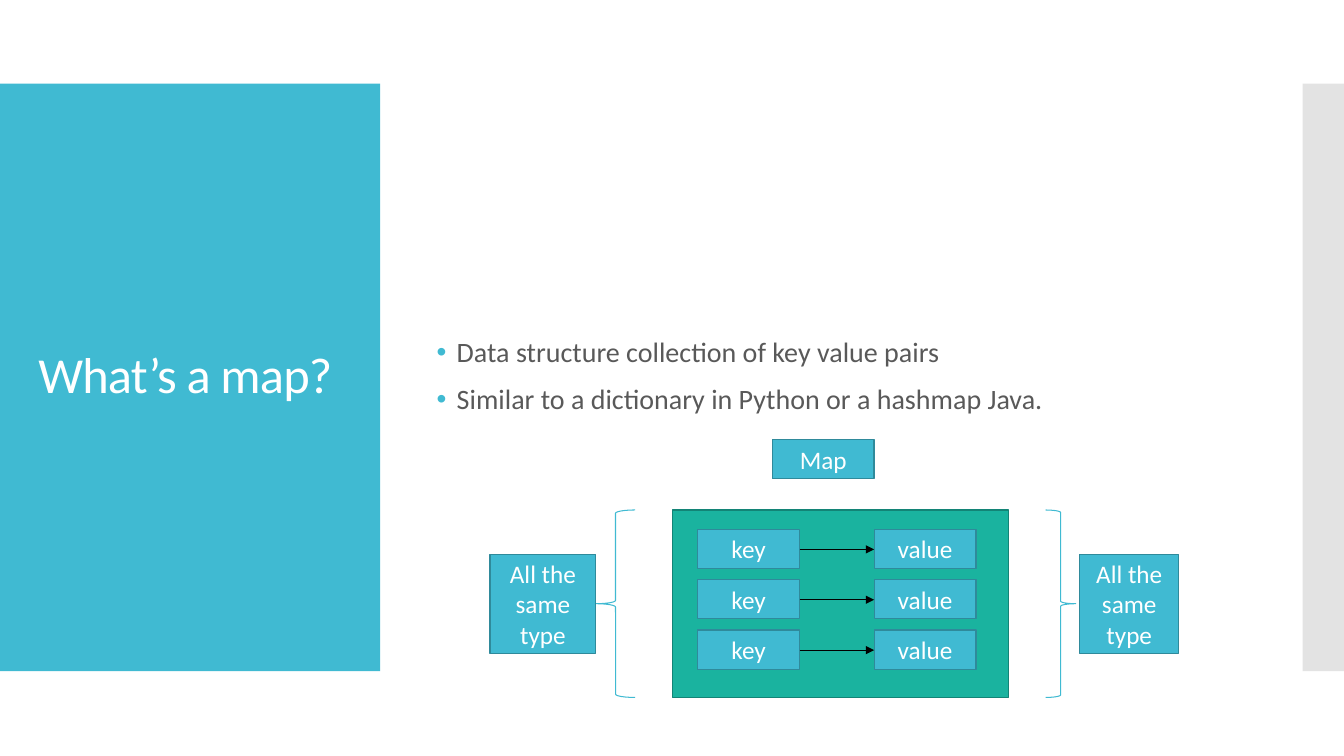
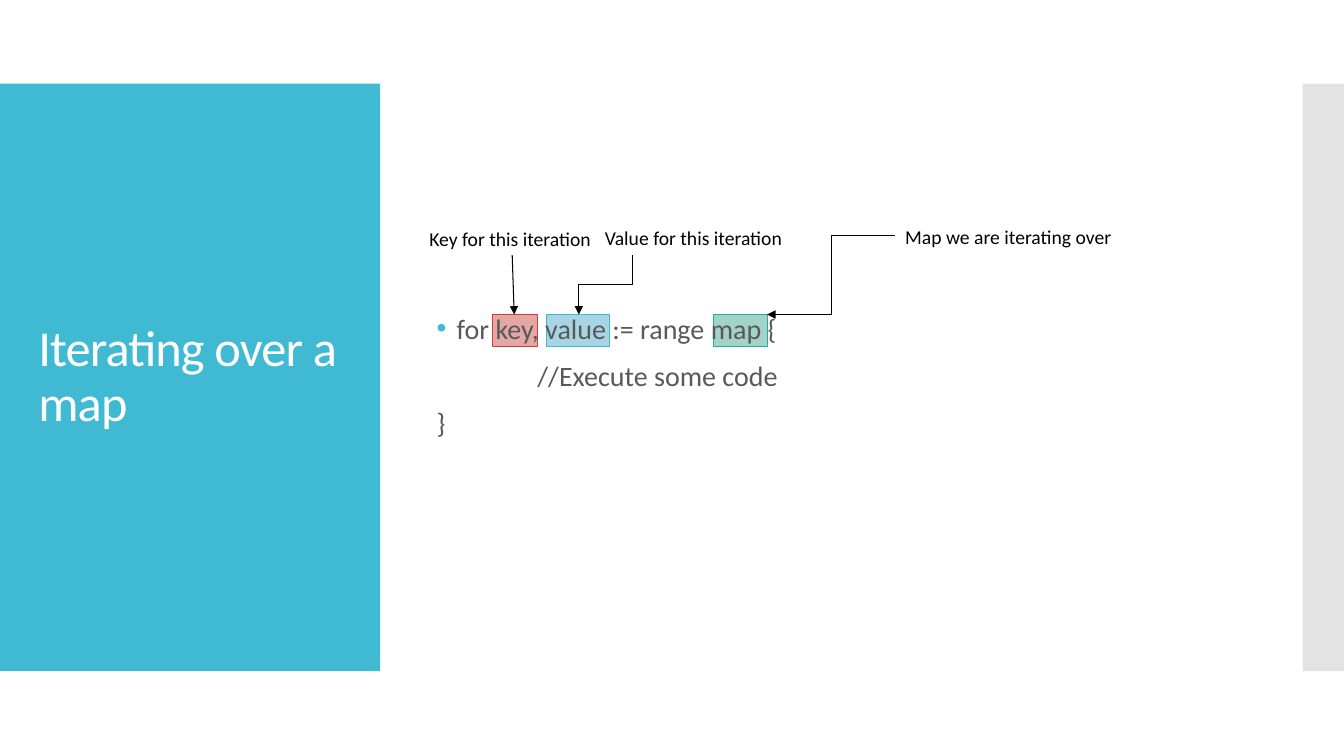
from pptx import Presentation
from pptx.dml.color import RGBColor
from pptx.enum import shapes, text
from pptx.oxml import ns
from pptx.util import Inches, Pt
from lxml import etree

BLUE, EDGE, WHITE, BLACK = "40BAD2", "2F8A9B", "FFFFFF", "000000"
TEAL, GRAY = "1AB39F", "595959"
KIND, LINK = shapes.MSO_SHAPE, shapes.MSO_CONNECTOR
ALIGN, MID = text.PP_ALIGN, text.MSO_ANCHOR.MIDDLE


def hue(code):
    return RGBColor.from_string(code)


def sub(node, tag, **attrs):
    return etree.SubElement(node, ns.qn(tag), **attrs)


def style(par, size, color):
    for run in par.runs:
        run.font.name, run.font.size = "Calibri", Pt(size)
        run.font.color.rgb = hue(color)


def shape(slide, box, fill=None, line=None, width=0.85, kind=KIND.RECTANGLE):
    item = slide.shapes.add_shape(kind, *map(Inches, box))
    item.shadow.inherit = False
    if fill:
        item.fill.solid()
        item.fill.fore_color.rgb = hue(fill)
    else:
        item.fill.background()
    if line:
        item.line.color.rgb = hue(line)
        item.line.width = Pt(width)
    else:
        item.line.fill.background()
    return item


def label(slide, box, words):
    frame = shape(slide, box, BLUE, EDGE).text_frame
    frame.text, frame.word_wrap = words, True
    frame.vertical_anchor = MID
    frame.margin_top = frame.margin_bottom = 0
    frame.paragraphs[0].alignment = ALIGN.CENTER
    style(frame.paragraphs[0], 18, WHITE)


def note(slide, box, words):
    frame = slide.shapes.add_textbox(*map(Inches, box)).text_frame
    frame.text, frame.word_wrap = words, True
    style(frame.paragraphs[0], 14, BLACK)


def arrow(slide, start, end, kind=LINK.STRAIGHT, down=False):
    (x1, y1), (x2, y2) = start, end
    if down:
        x, y, w, h = (x1 + x2) / 2, (y1 + y2) / 2, y2 - y1, x1 - x2
        x1, y1, x2, y2 = x - w / 2, y - h / 2, x + w / 2, y + h / 2
    item = slide.shapes.add_connector(kind, *map(Inches, (x1, y1, x2, y2)))
    item.line.color.rgb = hue(BLACK)
    item.line.width = Pt(0.75)
    props = item._element.spPr
    if down:
        props.find(ns.qn("a:xfrm")).set("rot", "5400000")
    sub(props.find(ns.qn("a:ln")), "a:tailEnd", type="triangle")
    sub(props, "a:effectLst")


def bands(slide, layout):
    left = shape(slide, (0, 0.83, 3.77, 5.83), BLUE)
    right = shape(slide, (12.92, 0.83, 0.41, 5.83), "C8C8C8")
    tint = right._element.spPr.find(".//" + ns.qn("a:srgbClr"))
    sub(tint, "a:alpha", val="50000")
    for item in (right, left):
        layout.shapes._spTree.insert(2, item._element)


def place(item, box):
    item.left, item.top, item.width, item.height = map(Inches, box)


def title(slide, box, words):
    place(slide.shapes.title, box)
    frame = slide.shapes.title.text_frame
    frame.text, frame.vertical_anchor = words, MID
    frame.auto_size = text.MSO_AUTO_SIZE.NONE
    par = frame.paragraphs[0]
    par.alignment, par.line_spacing = ALIGN.LEFT, 0.9
    style(par, 36, WHITE)
    par.runs[0]._r.get_or_add_rPr().set("spc", "-60")


def body(slide, box, rows):
    item = slide.placeholders[1]
    place(item, box)
    frame = item.text_frame
    frame.text = "\n".join(words for words, _ in rows)
    frame.vertical_anchor = MID
    frame.auto_size = text.MSO_AUTO_SIZE.NONE
    for par, (_, inset) in zip(frame.paragraphs, rows):
        par.line_spacing, par.space_before = 0.9, Pt(12)
        style(par, 20, GRAY)
        props = par._p.get_or_add_pPr()
        dot = inset is None
        props.set("marL", str(Inches(0.2 if dot else inset)))
        props.set("indent", str(Inches(-0.2 if dot else 0)))
        if dot:
            sub(sub(props, "a:buClr"), "a:srgbClr", val=BLUE)
            sub(props, "a:buFont", typeface="Arial")
            sub(props, "a:buChar", char="•")
        else:
            sub(props, "a:buNone")


def page(deck, layout, words, rows):
    slide = deck.slides.add_slide(layout)
    title(slide, (0.28, 1.23, 3.22, 5.03), words)
    body(slide, (4.23, 0.94, 8, 5.6), rows)
    return slide


def pairs(slide, box):
    x, y, w, h = box
    shape(slide, box, TEAL, "138476")
    label(slide, (x + 0.99, y - 0.7, 1.01, 0.39), "Map")
    for row in range(3):
        top = y + 0.19 + row * 0.5
        label(slide, (x + 0.25, top, 1.01, 0.39), "key")
        label(slide, (x + 2, top, 1.01, 0.39), "value")
        arrow(slide, (x + 1.26, top + 0.2), (x + 2, top + 0.2))
    shape(slide, (x - 0.76, y, 0.39, h), None, BLUE, 0.75, KIND.LEFT_BRACE)
    shape(slide, (x + w + 0.37, y, 0.3, h), None, BLUE, 0.75, KIND.RIGHT_BRACE)
    tall = 0.98
    top = y + (h - tall) / 2
    for left, wide in ((x - 1.81, 1.05), (x + w + 0.71, 0.98)):
        label(slide, (left, top, wide, tall), "All the same type")


def loop(slide, box):
    x, y, w, h = box
    base = y + h
    marks = [(0.72, 0.45, "E5A6A6", "D5393D"),
             (1.26, 0.63, "A7D5E3", BLUE),
             (2.92, 0.53, "A2D2C8", TEAL)]
    for left, wide, fill, line in marks:
        mark = shape(slide, (x + left, base, wide, 0.32), fill, line, 0.75)
        slide.shapes._spTree.insert(2, mark._element)
    note(slide, (x, y + 0.02, 1.89, 0.34), "Key for this iteration")
    note(slide, (x + 1.74, y + 0.01, 2.01, 0.34), "Value for this iteration")
    note(slide, (x + w - 2.27, y, 2.27, 0.34), "Map we are iterating over")
    arrow(slide, (x + 0.92, y + 0.35), (x + 0.94, base))
    arrow(slide, (x + 2.11, y + 0.35), (x + 1.58, base), LINK.ELBOW, True)
    arrow(slide, (x + 4.72, y + 0.16), (x + 3.45, base), LINK.ELBOW)


deck = Presentation()
deck.slide_width, deck.slide_height = Inches(13.33), Inches(7.5)
layout = deck.slide_layouts[1]

first = page(deck, layout, "What’s a map?", [
    ("Data structure collection of key value pairs", None),
    ("Similar to a dictionary in Python or a hashmap Java.", None)])
bands(first, layout)
pairs(first, (6.67, 5.06, 3.33, 1.86))

second = page(deck, layout, "Iterating over a map", [
    ("for key, value := range map {", None),
    ("//Execute some code", 1),
    ("}", 0)])
loop(second, (4.16, 2.18, 6.99, 0.94))

deck.save("out.pptx")
